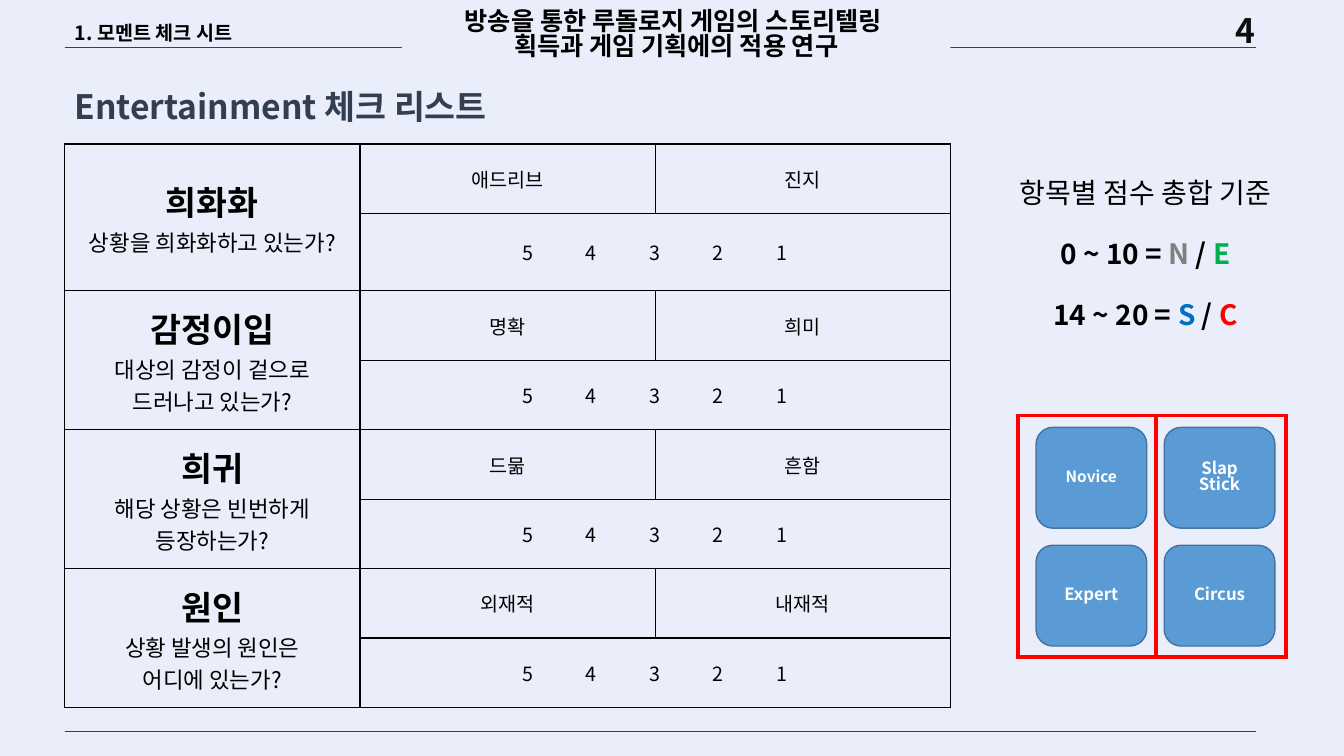
from lxml import etree
from pptx import Presentation
from pptx import util as u
from pptx.dml.color import RGBColor
from pptx.enum import shapes, text
from pptx.oxml import ns

FONT = "Noto Sans CJK KR"
BLACK, RED = "000000", "FF0000"
TIGHT = 0.82
MID = text.PP_ALIGN.CENTER
LEFT = text.PP_ALIGN.LEFT
FORM = shapes.MSO_SHAPE


def tint(code):
    return RGBColor.from_string(code)


def node(root, tag, **attrs):
    return etree.SubElement(root, ns.qn(tag), attrs)


def style(par, size, color=BLACK, bold=False, align=MID, space=1.0):
    par.alignment, par.line_spacing = align, space
    font = par.font
    font.size, font.bold, font.name = u.Pt(size), bold, FONT
    font.color.rgb = tint(color)
    props = par._p.get_or_add_pPr().find(ns.qn("a:defRPr"))
    node(props, "a:ea", typeface=FONT)


def write(frame, lines, **look):
    """Fill a text frame with one paragraph per line."""
    frame.word_wrap = True
    frame.vertical_anchor = text.MSO_ANCHOR.MIDDLE
    for i, line in enumerate(lines):
        par = frame.paragraphs[0] if i == 0 else frame.add_paragraph()
        par.text = line
        style(par, **look)


def label(slide, box, lines, **look):
    area = slide.shapes.add_textbox(*map(u.Cm, box))
    write(area.text_frame, lines, **look)


def shape(slide, form, box, fill, edge=None):
    item = slide.shapes.add_shape(form, *map(u.Cm, box))
    item.shadow.inherit = False
    item.fill.solid()
    item.fill.fore_color.rgb = tint(fill)
    if edge:
        item.line.color.rgb = tint(edge)
        item.line.width = u.Pt(1)
    else:
        item.line.fill.background()
    return item


def rule(slide, left, top, width):
    line = slide.shapes.add_connector(
        shapes.MSO_CONNECTOR.STRAIGHT,
        *map(u.Cm, (left, top, left + width, top)))
    line.line.color.rgb = tint("404040")
    line.line.width = u.Pt(0.5)
    node(line._element.spPr, "a:effectLst")


def header(slide, box):
    x, y, w, h = box
    rule(slide, x, y + h, w)
    label(slide, (x + 27.71, y + 0.25, 4.09, 1.02), ["4"],
          size=24, color="0D0D0D", bold=True)
    title = shape(slide, FORM.RECTANGLE, (x + 8.5, y, 13.82, 1.8), "EAEEFA")
    write(title.text_frame,
          ["방송을 통한 루돌로지 게임의 스토리텔링 ",
           "획득과 게임 기획에의 적용 연구"],
          size=18, bold=True, space=TIGHT)
    label(slide, (x, y + 0.15, 8.03, 1.04), ["1. 모멘트 체크 시트"],
          size=14, bold=True, align=LEFT, space=1.5)
    label(slide, (x, y + 1.52, 11.38, 1.8), ["Entertainment 체크 리스트"],
          size=24, color="333F50", bold=True, align=LEFT, space=1.5)


def border(cell):
    props = cell._tc.get_or_add_tcPr()
    for side in "LRTB":
        line = node(props, "a:ln" + side, w="12700")
        fill = node(line, "a:solidFill")
        node(fill, "a:srgbClr", val=BLACK)
    cell.fill.background()


def scale(cell):
    """Spread the scores 5 to 1 over centred tab stops."""
    write(cell.text_frame, ["\t5\t4\t3\t2\t1"], size=14, align=LEFT)
    props = cell.text_frame.paragraphs[0]._p.pPr
    tabs = etree.Element(ns.qn("a:tabLst"))
    for i in range(5):
        node(tabs, "a:tab", pos=str(int(u.Cm(3.97 + 1.6 * i))), algn="ctr")
    props.find(ns.qn("a:defRPr")).addprevious(tabs)


def checks(slide, box, items):
    rows = 2 * len(items)
    grid = slide.shapes.add_table(rows, 3, *map(u.Cm, box)).table
    grid.first_row = grid.horz_banding = False
    for col in grid.columns:
        col.width = u.Cm(box[2] / 3)
    for i, row in enumerate(grid.rows):
        row.height = u.Cm(1.94 if i == 1 else 1.75)
    for cell in grid.iter_cells():
        border(cell)
        cell.vertical_anchor = text.MSO_ANCHOR.MIDDLE
    for i, (name, ask, *ends) in enumerate(items):
        top = 2 * i
        # Question
        head = grid.cell(top, 0)
        head.merge(grid.cell(top + 1, 0))
        write(head.text_frame, [name], size=24, bold=True)
        for line in ask:
            par = head.text_frame.add_paragraph()
            par.text = line
            style(par, 16)
        # Two poles and their scale
        for j, end in enumerate(ends, 1):
            write(grid.cell(top, j).text_frame, [end], size=14)
        grid.cell(top + 1, 1).merge(grid.cell(top + 1, 2))
        scale(grid.cell(top + 1, 1))


def totals(slide, box):
    frame = slide.shapes.add_textbox(*map(u.Cm, box)).text_frame
    write(frame, ["항목별 점수 총합 기준"], size=20, space=TIGHT)
    frame.vertical_anchor = text.MSO_ANCHOR.TOP
    sums = [("0 ~ 10 = ", "N ", "808080", "E", "00B050"),
            ("14 ~ 20 = ", "S ", "0070C0", "C", RED)]
    for span, low, hue, high, tone in sums:
        par = frame.add_paragraph()
        style(par, 20, bold=True, space=TIGHT)
        par.space_before = u.Pt(24)
        for word, color in ((span, BLACK), (low, hue),
                            ("/ ", BLACK), (high, tone)):
            run = par.add_run()
            run.text = word
            run.font.color.rgb = tint(color)


def types(slide, box):
    x, y, w, h = box
    cards = [("Novice", 11), ("Slap Stick", 12), ("Expert", 12), ("Circus", 12)]
    for i, (name, size) in enumerate(cards):
        row, col = divmod(i, 2)
        spot = (x + 0.48 + 3.23 * col, y + 0.33 + 2.97 * row, 2.79, 2.54)
        card = shape(slide, FORM.ROUNDED_RECTANGLE, spot, "5B9BD5", "43739E")
        write(card.text_frame, name.split(), size=size, color="FFFFFF",
              bold=True, space=TIGHT)
    # Red frames around each column
    for left, width in ((0, 3.53), (3.48, w - 3.48)):
        edge = shape(slide, FORM.FRAME, (x + left, y, width, h), RED, RED)
        edge.adjustments[0] = 0.016


ITEMS = [
    ("희화화", ["상황을 희화화하고 있는가?"], "애드리브", "진지"),
    ("감정이입", ["대상의 감정이 겉으로", "드러나고 있는가?"], "명확", "희미"),
    ("희귀", ["해당 상황은 빈번하게", "등장하는가?"], "드묾", "흔함"),
    ("원인", ["상황 발생의 원인은", "어디에 있는가?"], "외재적", "내재적"),
]

deck = Presentation()
deck.slide_width, deck.slide_height = u.Cm(33.87), u.Cm(19.05)
page = deck.slides.add_slide(deck.slide_layouts[6])
page.background.fill.solid()
page.background.fill.fore_color.rgb = tint("EAEEFA")

header(page, (1.63, 0, 30.02, 1.19))
rule(page, 1.63, 18.44, 30.02)
checks(page, (1.63, 3.63, 22.32, 14.19), ITEMS)
totals(page, (25.04, 4.45, 7.65, 4.52))
types(page, (25.63, 10.44, 6.81, 6.15))
deck.save("out.pptx")
